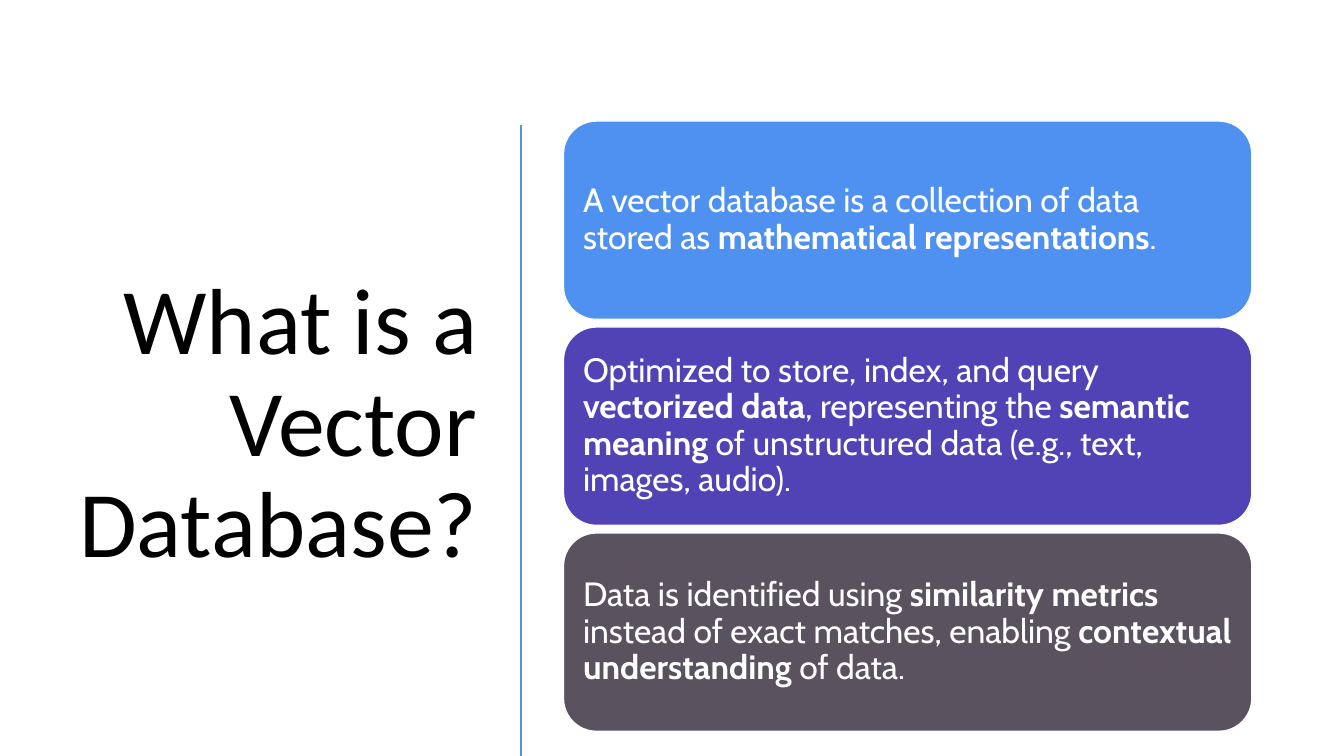
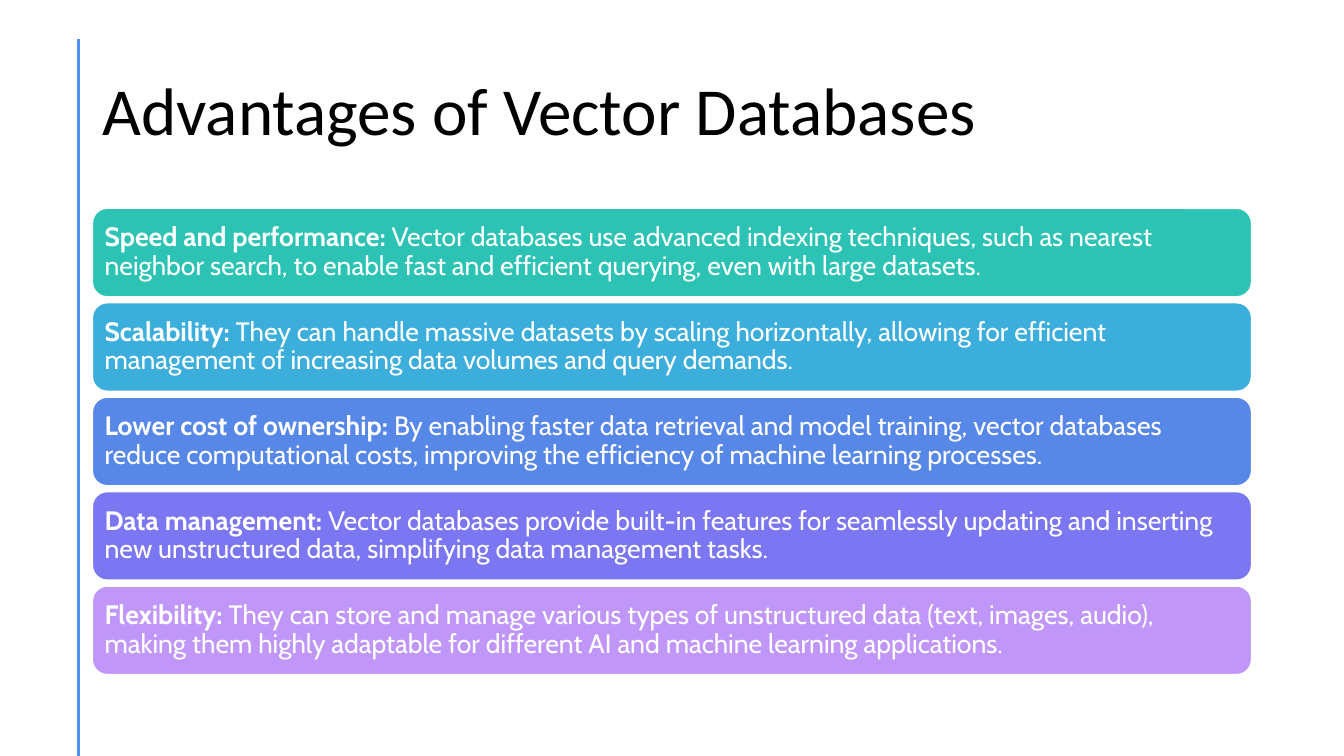
from dataclasses import dataclass

from lxml import etree
from pptx import Presentation
from pptx.dml.color import RGBColor
from pptx.enum.shapes import MSO_CONNECTOR, MSO_SHAPE
from pptx.enum.text import MSO_ANCHOR, MSO_AUTO_SIZE, PP_ALIGN
from pptx.oxml.ns import qn
from pptx.util import Cm, Pt

ROUND = MSO_SHAPE.ROUNDED_RECTANGLE
STRAIGHT = MSO_CONNECTOR.STRAIGHT
MIDDLE = MSO_ANCHOR.MIDDLE
FIXED = MSO_AUTO_SIZE.NONE
LEFT, RIGHT = PP_ALIGN.LEFT, PP_ALIGN.RIGHT

WIDE, HIGH = 33.87, 19.05
HEAD, BODY = "Calibri", "Cabin"
BLACK, WHITE, BLUE = "000000", "FFFFFF", "4E91F0"


@dataclass(frozen=True)
class Box:
    left: float
    top: float
    width: float
    height: float


@dataclass(frozen=True)
class Card:
    fill: str
    text: str


@dataclass(frozen=True)
class Stack:
    first: Box
    gap: float
    size: float
    inset: float
    cards: tuple[Card, ...]


@dataclass(frozen=True)
class Page:
    title: str
    area: Box
    size: float
    align: PP_ALIGN
    rule_x: float
    rule_top: float
    stack: Stack


PAGES = (
    Page(
        "What is a Vector Database?", Box(1.32, 2.97, 10.95, 15.52), 67, RIGHT, 13.13, 3.15,
        Stack(Box(14.2, 3.05, 17.35, 5), 0.19, 24, 0.25, (
            Card(BLUE, "A vector database is a collection of data stored as "
                 "*mathematical representations*."),
            Card("5043B5", "Optimized to store, index, and query *vectorized data*, "
                 "representing the *semantic meaning* of unstructured data "
                 "(e.g., text, images, audio)."),
            Card("5B5260", "Data is identified using *similarity metrics* instead of exact "
                 "matches, enabling *contextual understanding* of data."),
        )),
    ),
    Page(
        "Advantages of Vector Databases", Box(2.33, 1.02, 29.21, 3.68), 48, LEFT, 1.98, 0.99,
        Stack(Box(2.33, 5.25, 29.21, 2.23), 0.15, 19, 0.2, (
            Card("2CC3B4", "*Speed and performance:* Vector databases use advanced indexing "
                 "techniques, such as nearest neighbor search, to enable fast and efficient "
                 "querying, even with large datasets."),
            Card("3CAEDB", "*Scalability:* They can handle massive datasets by scaling "
                 "horizontally, allowing for efficient management of increasing data volumes "
                 "and query demands."),
            Card("5888E7", "*Lower cost of ownership: *By enabling faster data retrieval and "
                 "model training, vector databases reduce computational costs, improving the "
                 "efficiency of machine learning processes."),
            Card("7B76F1", "*Data management:* Vector databases provide built-in features for "
                 "seamlessly updating and inserting new unstructured data, simplifying data "
                 "management tasks."),
            Card("C097F8", "*Flexibility: *They can store and manage various types of "
                 "unstructured data (text, images, audio), making them highly adaptable for "
                 "different AI and machine learning applications."),
        )),
    ),
)


def paint(target, tint: str) -> None:
    target.solid()
    target.fore_color.rgb = RGBColor.from_string(tint)


def place(shape, box: Box) -> None:
    shape.left, shape.top = Cm(box.left), Cm(box.top)
    shape.width, shape.height = Cm(box.width), Cm(box.height)


def write(shape, text: str, *, font: str, size: float, tint: str,
          align: PP_ALIGN = LEFT, side: float = 0.25, edge: float = 0.13) -> None:
    frame = shape.text_frame
    frame.word_wrap = True
    frame.auto_size = FIXED
    frame.vertical_anchor = MIDDLE
    frame.margin_left = frame.margin_right = Cm(side)
    frame.margin_top = frame.margin_bottom = Cm(edge)
    para = frame.paragraphs[0]
    para.alignment = align
    para.line_spacing = 0.9
    para.space_before = Pt(0)
    for index, part in enumerate(text.split("*")):
        if part:
            run = para.add_run()
            run.text = part
            run.font.name = font
            run.font.size = Pt(size)
            run.font.bold = index % 2 == 1
            paint(run.font.fill, tint)


def draw_rule(slide, left: float, top: float) -> None:
    rule = slide.shapes.add_connector(STRAIGHT, Cm(left), Cm(top), Cm(left), Cm(HIGH))
    paint(rule.line.fill, BLUE)
    rule.line.width = Pt(2)
    etree.SubElement(rule._element.spPr, qn("a:effectLst"))


def draw_stack(slide, stack: Stack) -> None:
    first = stack.first
    for index, card in enumerate(stack.cards):
        top = first.top + index * (first.height + stack.gap)
        shape = slide.shapes.add_shape(
            ROUND, Cm(first.left), Cm(top), Cm(first.width), Cm(first.height))
        shape.shadow.inherit = False
        paint(shape.fill, card.fill)
        paint(shape.line.fill, WHITE)
        shape.line.width = Pt(1)
        write(shape, card.text, font=BODY, size=stack.size, tint=WHITE,
              side=stack.inset, edge=stack.inset)


def draw_page(deck, page: Page) -> None:
    slide = deck.slides.add_slide(deck.slide_layouts.get_by_name("Title Only"))
    title = slide.shapes.title
    place(title, page.area)
    write(title, page.title, font=HEAD, size=page.size, tint=BLACK, align=page.align)
    draw_rule(slide, page.rule_x, page.rule_top)
    draw_stack(slide, page.stack)


def main() -> None:
    deck = Presentation()
    deck.slide_width, deck.slide_height = Cm(WIDE), Cm(HIGH)
    for page in PAGES:
        draw_page(deck, page)
    deck.save("out.pptx")


if __name__ == "__main__":
    main()
